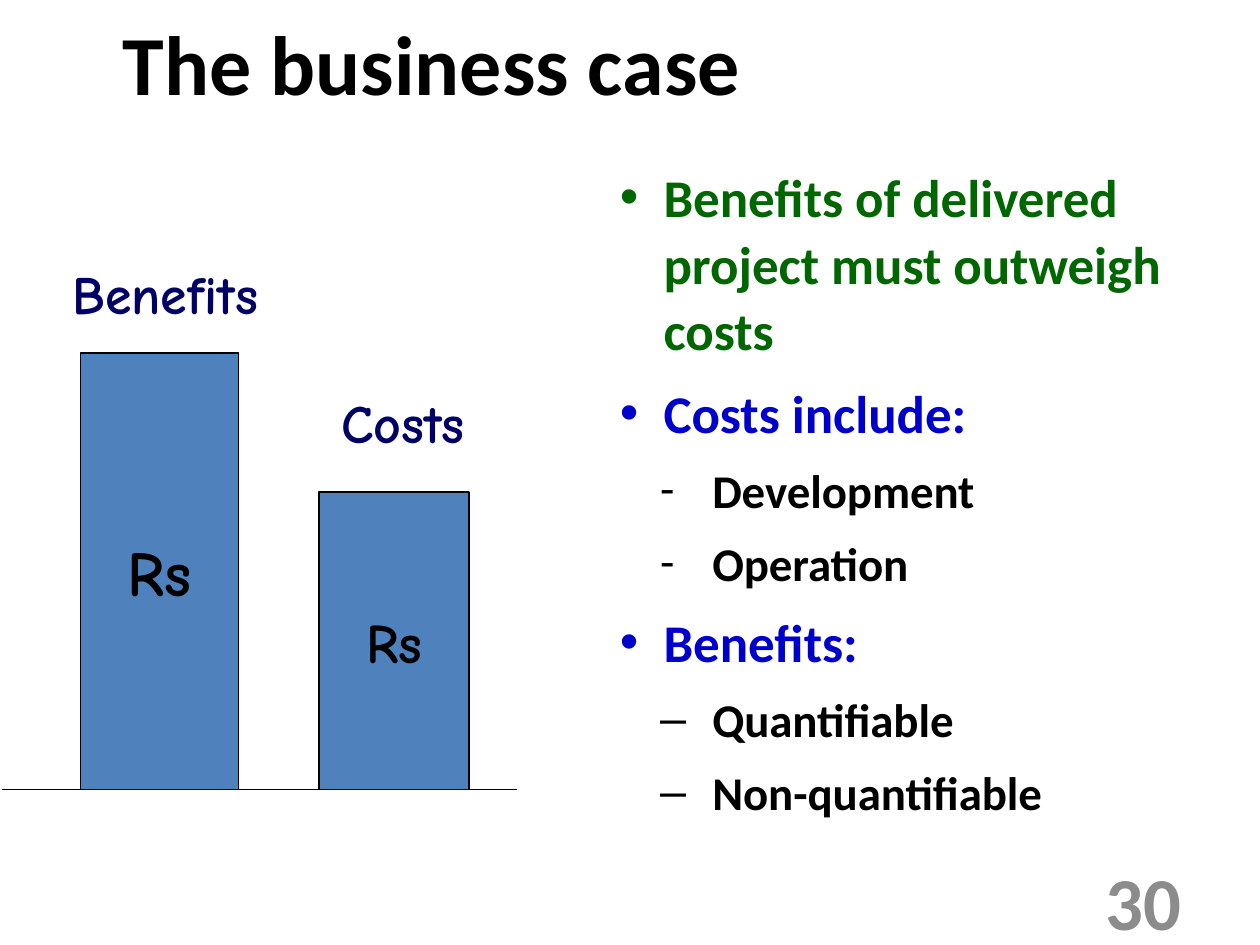
from dataclasses import dataclass

from lxml import etree
from pptx import Presentation
from pptx.dml.color import RGBColor
from pptx.enum import shapes, text
from pptx.oxml import ns
from pptx.util import Inches, Pt


@dataclass(frozen=True)
class Theme:
    font: str = "Calibri"
    chart_font: str = "Comic Neue"
    bullet_font: str = "Arial"
    ink: str = "000000"
    green: str = "006600"
    blue: str = "0000CC"
    navy: str = "000066"
    bar: str = "4F81BD"
    gray: str = "8C8C8C"
    title_size: float = 36
    point_size: float = 22.7
    detail_size: float = 20.1
    label_size: float = 23.1
    number_size: float = 32
    line_width: float = 0.75


THEME = Theme()
CENTER = text.PP_ALIGN.CENTER

POINTS = [
    ("•", "Benefits of delivered project must outweigh costs", THEME.green),
    ("•", "Costs include:", THEME.blue),
    ("-", "Development", THEME.ink),
    ("-", "Operation", THEME.ink),
    ("•", "Benefits:", THEME.blue),
    ("–", "Quantifiable", THEME.ink),
    ("–", "Non-quantifiable", THEME.ink),
]

# Label, its left, rise above the baseline and width;
# bar left, width and height; size of "Rs"
BARS = [
    ("Benefits", 0.35, 3.19, 1.45, 0.47, 0.94, 2.6, 27.2),
    ("Costs", 1.95, 2.42, 0.99, 1.89, 0.89, 1.77, 23.8),
]


def add_span(para, words, size, color, font=THEME.font):
    span = para.add_run()
    span.text = words
    span.font.name = font
    span.font.size = Pt(size)
    span.font.bold = True
    span.font.color.rgb = RGBColor.from_string(color)


def set_frame(frame, side=0.08, wrap=True, anchor=text.MSO_ANCHOR.TOP):
    frame.margin_left = frame.margin_right = Inches(side)
    frame.margin_top = frame.margin_bottom = Inches(0.04)
    frame.word_wrap = wrap
    frame.vertical_anchor = anchor
    return frame


def add_text_frame(page, box, **settings):
    textbox = page.shapes.add_textbox(*map(Inches, box))
    return set_frame(textbox.text_frame, **settings)


def add_title(page, box):
    para = add_text_frame(page, box, anchor=text.MSO_ANCHOR.MIDDLE).paragraphs[0]
    para.alignment = CENTER
    add_span(para, "The business case", THEME.title_size, THEME.ink)


def set_bullet(para, mark, left, hanging):
    properties = para._p.get_or_add_pPr()
    properties.set("marL", str(Inches(left)))
    properties.set("indent", str(-Inches(hanging)))
    font = etree.SubElement(properties, ns.qn("a:buFont"))
    font.set("typeface", THEME.font if mark == "-" else THEME.bullet_font)
    etree.SubElement(properties, ns.qn("a:buChar")).set("char", mark)


def add_points(page, box):
    frame = add_text_frame(page, box)
    for index, (mark, words, color) in enumerate(POINTS):
        para = frame.paragraphs[0] if index == 0 else frame.add_paragraph()
        is_point = mark == "•"
        size = THEME.point_size if is_point else THEME.detail_size
        para.level = 0 if is_point else 1
        para.line_spacing = 1.05
        para.space_before = para.space_after = Pt(round(size * 0.15, 1))
        set_bullet(para, mark, *((0.26, 0.26) if is_point else (0.55, 0.31)))
        add_span(para, words, size, color)


def add_bar(page, box, size):
    bar = page.shapes.add_shape(shapes.MSO_SHAPE.RECTANGLE, *map(Inches, box))
    bar.shadow.inherit = False
    bar.fill.solid()
    bar.fill.fore_color.rgb = RGBColor.from_string(THEME.bar)
    bar.line.color.rgb = RGBColor.from_string(THEME.ink)
    bar.line.width = Pt(THEME.line_width)
    frame = set_frame(bar.text_frame, 0.07, False, text.MSO_ANCHOR.MIDDLE)
    para = frame.paragraphs[0]
    para.alignment = CENTER
    add_span(para, "Rs", size, THEME.ink, THEME.chart_font)


def add_bar_label(page, box, words):
    frame = add_text_frame(page, box, side=0.07, wrap=False)
    frame.auto_size = text.MSO_AUTO_SIZE.SHAPE_TO_FIT_TEXT
    add_span(frame.paragraphs[0], words, THEME.label_size, THEME.navy, THEME.chart_font)


def add_comparison(page, box):
    """Draw labelled bars standing on a baseline at the foot of the box."""
    left, top, width, height = box
    base = top + height
    for words, label_x, rise, label_w, bar_x, bar_w, bar_h, size in BARS:
        add_bar(page, (left + bar_x, base - bar_h, bar_w, bar_h), size)
        add_bar_label(page, (left + label_x, base - rise, label_w, 0.46), words)
    baseline = page.shapes.add_connector(
        shapes.MSO_CONNECTOR.STRAIGHT,
        *map(Inches, (left, base, left + width, base)),
    )
    baseline.line.color.rgb = RGBColor.from_string(THEME.ink)
    baseline.line.width = Pt(THEME.line_width)
    etree.SubElement(baseline._element.spPr, ns.qn("a:effectLst"))


def add_page_number(page, box):
    frame = add_text_frame(page, box, side=0.1, anchor=text.MSO_ANCHOR.MIDDLE)
    para = frame.paragraphs[0]
    para.alignment = text.PP_ALIGN.RIGHT
    add_span(para, "30", THEME.number_size, THEME.gray)


def main():
    deck = Presentation()
    deck.slide_width = Inches(7.5)
    deck.slide_height = deck.slide_width * 3 // 4
    page = deck.slides.add_slide(deck.slide_layouts[6])
    add_title(page, (-0.63, -0.14, 6.4, 1.02))
    add_points(page, (3.61, 0.92, 3.89, 4.25))
    add_comparison(page, (0.01, 1.5, 3.07, 3.2))
    add_page_number(page, (5.38, 5.21, 1.75, 0.3))
    deck.save("out.pptx")


if __name__ == "__main__":
    main()
